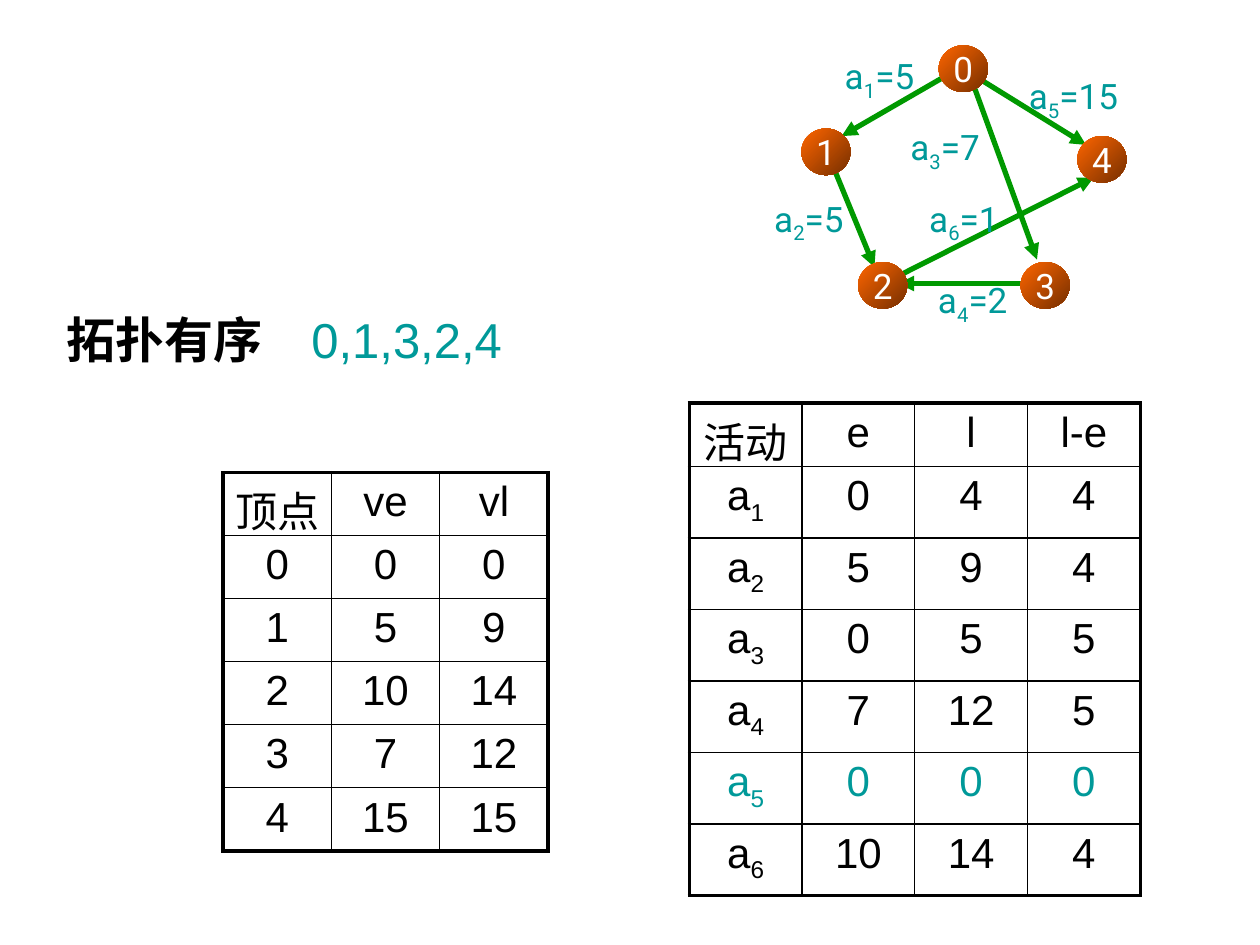
from lxml.etree import SubElement
from pptx import Presentation
from pptx.dml.color import RGBColor
from pptx.enum.shapes import MSO_CONNECTOR, MSO_SHAPE
from pptx.enum.text import MSO_ANCHOR, PP_ALIGN
from pptx.oxml.ns import qn
from pptx.util import Inches, Pt

BLACK, WHITE, TEAL, GREEN = "000000", "FFFFFF", "009999", "009900"
ORANGE, BROWN = "FF6600", "762F00"
LATIN, CHINESE, GRAPH_FONT = "Arial", "Noto Sans CJK SC", "Roboto"
THIN, THICK = 1, 2.25

GRAPH_COLUMNS, GRAPH_ROWS = 300, 240
NODE_SIZE = (39, 37)
NODES = {"0": (145, 6), "1": (36, 72), "2": (81, 178), "3": (210, 178), "4": (255, 78)}
EDGES = [
    ("a_1=5", (158, 26), (68, 78), (98, 30)),
    ("a_2=5", (62, 104), (94, 182), (42, 143)),
    ("a_3=7", (171, 33), (223, 176), (150, 86)),
    ("a_4=2", (210, 195), (113, 195), (172, 208)),
    ("a_5=15", (178, 33), (262, 85), (252, 46)),
    ("a_6=1", (113, 189), (268, 111), (165, 143)),
]
LABEL_SIZE = (92, 43)

VERTICES = [
    ["顶点", "ve", "vl"],
    ["0", "0", "0"],
    ["1", "5", "9"],
    ["2", "10", "14"],
    ["3", "7", "12"],
    ["4", "15", "15"],
]
ACTIVITIES = [
    ["活动", "e", "l", "l-e"],
    ["a_1", "0", "4", "4"],
    ["a_2", "5", "9", "4"],
    ["a_3", "0", "5", "5"],
    ["a_4", "7", "12", "5"],
    ["a_5", "0", "0", "0"],
    ["a_6", "10", "14", "4"],
]


def rgb(color):
    """Turn a hex string into a colour."""
    return RGBColor.from_string(color)


def add_run(paragraph, text, size, font, color, bold=False, subscript=False):
    """Add one formatted run to a paragraph."""
    run = paragraph.add_run()
    run.text = text
    run.font.size = Pt(size)
    run.font.name = font
    run.font.bold = bold
    run.font.color.rgb = rgb(color)
    properties = run.font._element
    SubElement(properties, qn("a:ea")).set("typeface", CHINESE)
    if subscript:
        properties.set("baseline", "-25000")


def add_symbol(paragraph, text, size, font, color):
    """Add centred text in which the character after an underscore is a subscript."""
    paragraph.alignment = PP_ALIGN.CENTER
    base, _, rest = text.partition("_")
    for part, subscript in ((base, False), (rest[:1], True), (rest[1:], False)):
        if part:
            add_run(paragraph, part, size, font, color, subscript=subscript)


def set_frame(frame, wrap):
    """Remove the side insets and set the wrapping of a text frame."""
    frame.margin_left = frame.margin_right = 0
    frame.word_wrap = wrap


def add_edge(group, start, end):
    """Draw an arrow between two points."""
    arrow = group.shapes.add_connector(MSO_CONNECTOR.STRAIGHT, *start, *end)
    arrow.line.color.rgb = rgb(GREEN)
    arrow.line.width = Pt(3)
    SubElement(arrow.line._get_or_add_ln(), qn("a:tailEnd")).set("type", "triangle")
    SubElement(arrow._element.spPr, qn("a:effectLst"))


def add_node(group, name, position, size):
    """Draw a numbered vertex."""
    node = group.shapes.add_shape(MSO_SHAPE.OVAL, *position, *size)
    node.shadow.inherit = False
    node.line.fill.background()
    node.fill.gradient()
    node.fill.gradient_angle = 315
    for stop, color, place in zip(node.fill.gradient_stops, (ORANGE, BROWN), (0, 1)):
        stop.color.rgb = rgb(color)
        stop.position = place
    set_frame(node.text_frame, False)
    node.text_frame.vertical_anchor = MSO_ANCHOR.MIDDLE
    add_symbol(node.text_frame.paragraphs[0], name, 20, GRAPH_FONT, WHITE)


def add_graph(slide, left, top, width, height):
    """Draw the network of activities on a fine grid inside the box."""
    def scale(columns, rows):
        return int(width * columns / GRAPH_COLUMNS), int(height * rows / GRAPH_ROWS)

    def locate(columns, rows):
        across, down = scale(columns, rows)
        return left + across, top + down

    group = slide.shapes.add_group_shape()
    for _, start, end, _ in EDGES:
        add_edge(group, locate(*start), locate(*end))
    for name, corner in NODES.items():
        add_node(group, name, locate(*corner), scale(*NODE_SIZE))
    for text, _, _, (column, row) in EDGES:
        corner = locate(column - LABEL_SIZE[0] / 2, row - LABEL_SIZE[1] / 2)
        label = group.shapes.add_textbox(*corner, *scale(*LABEL_SIZE))
        set_frame(label.text_frame, True)
        add_symbol(label.text_frame.paragraphs[0], text, 20, GRAPH_FONT, TEAL)


def set_borders(cell, thick_sides):
    """Draw the four borders of a cell, heavier on the given sides."""
    properties = cell._tc.get_or_add_tcPr()
    for side in "LRTB":
        width = THICK if side in thick_sides else THIN
        line = SubElement(properties, qn(f"a:ln{side}"), w=str(Pt(width)))
        fill = SubElement(line, qn("a:solidFill"))
        SubElement(fill, qn("a:srgbClr"), val=BLACK)


def add_grid(slide, rows, left, top, width, height, header_height, highlight=None):
    """Place a table with a heavy frame and an optional highlighted row."""
    last_row, last_column = len(rows) - 1, len(rows[0]) - 1
    table = slide.shapes.add_table(
        len(rows), len(rows[0]), left, top, width, height).table
    table.first_row = table.horz_banding = False
    for column in table.columns:
        column.width = int(width / len(rows[0]))
    for r, values in enumerate(rows):
        table.rows[r].height = int((height - header_height) / last_row) if r else header_height
        for c, value in enumerate(values):
            cell = table.cell(r, c)
            cell.margin_left = cell.margin_right = 0
            edges = {"L": c == 0, "R": c == last_column, "T": r == 0, "B": r == last_row}
            set_borders(cell, [side for side, outer in edges.items() if outer])
            cell.fill.background()
            color = TEAL if values[0] == highlight else BLACK
            add_symbol(cell.text_frame.paragraphs[0], value, 24, LATIN, color)


def add_order(slide, left, top, width, height):
    """Write the topological order in the body placeholder."""
    body = slide.placeholders[1]
    body.left, body.top, body.width, body.height = left, top, width, height
    paragraph = body.text_frame.paragraphs[0]
    paragraph.space_before = Pt(0)
    properties = paragraph._p.get_or_add_pPr()
    properties.set("marL", str(Inches(0.38)))
    properties.set("indent", str(-Inches(0.38)))
    SubElement(properties, qn("a:buNone"))
    add_run(paragraph, "拓扑有序　", 28, CHINESE, BLACK, bold=True)
    add_run(paragraph, "0,1,3,2,4", 28, LATIN, TEAL)


def main():
    """Build the slide and save it."""
    presentation = Presentation()
    presentation.slide_width, presentation.slide_height = Inches(10), Inches(7.5)
    slide = presentation.slides.add_slide(presentation.slide_layouts[1])
    title = slide.shapes.title._element
    title.getparent().remove(title)
    add_graph(slide, Inches(6), Inches(0.3), Inches(3), Inches(2.4))
    add_grid(slide, VERTICES, Inches(1.77), Inches(3.75), Inches(2.58), Inches(3), Inches(0.5))
    add_grid(slide, ACTIVITIES, Inches(5.47), Inches(3.2), Inches(3.58), Inches(3.91),
             Inches(0.5), highlight="a_5")
    add_order(slide, Inches(0.43), Inches(2.41), Inches(9.75), Inches(0.78))
    presentation.save("out.pptx")


if __name__ == "__main__":
    main()
